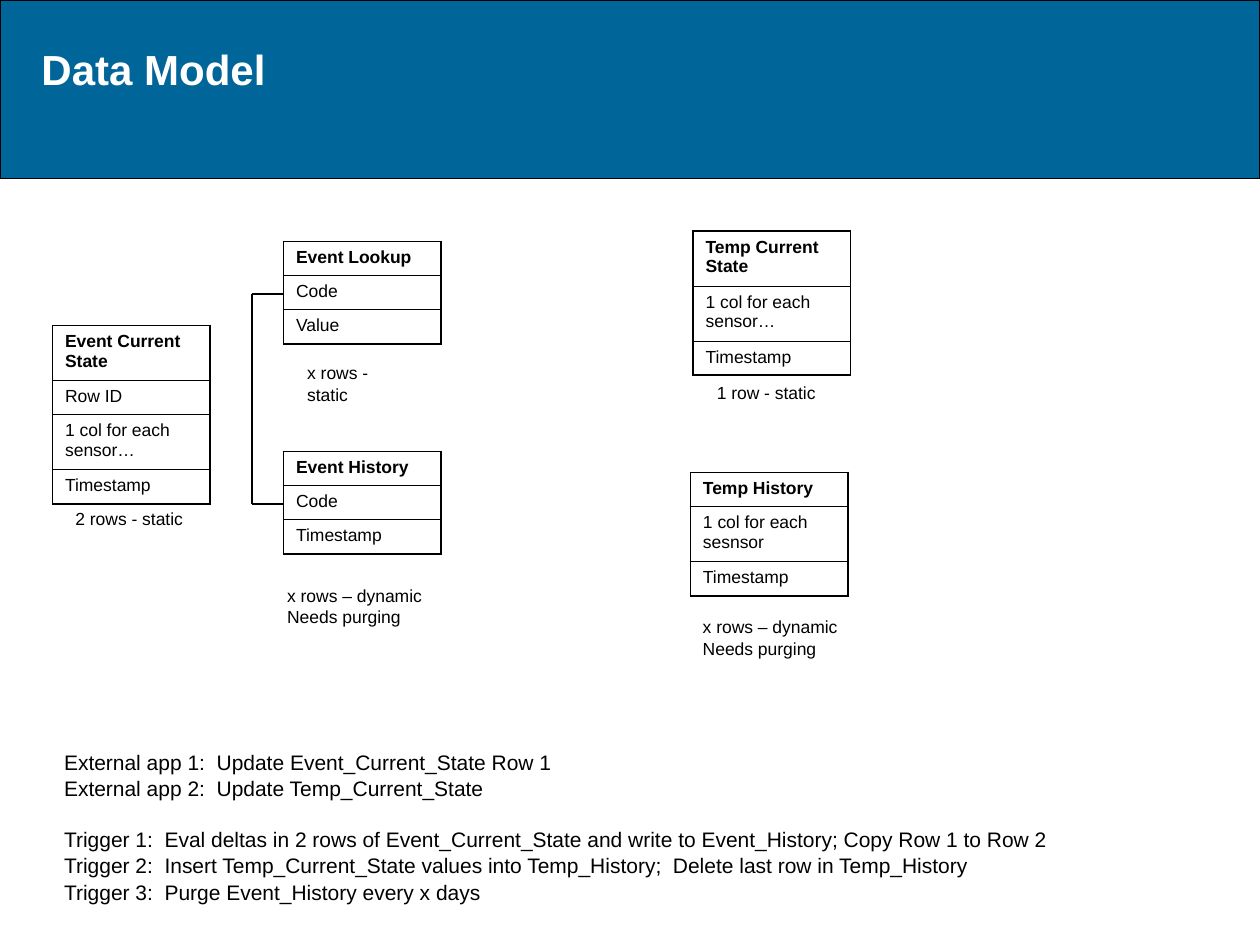
"""Build the data model slide with its tables, captions and trigger notes."""
from pptx import Presentation
from pptx.dml.color import RGBColor
from pptx.enum.shapes import MSO_CONNECTOR, MSO_SHAPE
from pptx.enum.text import MSO_ANCHOR, MSO_AUTO_SIZE, PP_ALIGN
from pptx.oxml import parse_xml
from pptx.oxml.ns import nsdecls
from pptx.util import Pt

LEFT, TOP, FIXED = PP_ALIGN.LEFT, MSO_ANCHOR.TOP, MSO_AUTO_SIZE.NONE
RECT, STRAIGHT = MSO_SHAPE.RECTANGLE, MSO_CONNECTOR.STRAIGHT

THEME = {
    "font": "Arial", "ink": "000000", "band": "006699", "paper": "FFFFFF",
    "title": 24, "note": 12, "label": 10,
    "line": 1, "outer": 1.08, "inner": 0.45,
}
WIDE, HIGH = 720, 540
COL, ROW, EXTRA = 90, 19.5, 12

TITLE = "Data Model"
TABLES = [
    (30, 186, ["Event Current State", "Row ID", "1 col for each sensor…", "Timestamp"]),
    (162, 138, ["Event Lookup", "Code", "Value"]),
    (162, 258, ["Event History", "Code", "Timestamp"]),
    (396, 132, ["Temp Current State", "1 col for each sensor…", "Timestamp"]),
    (394.5, 270, ["Temp History", "1 col for each sesnsor", "Timestamp"]),
]
PURGE = ["x rows – dynamic", "Needs purging"]
LABELS = [
    (36, 286.5, 75.6, ["2 rows - static"]),
    (168.5, 203, 74.9, ["x rows - static"]),
    (157, 330, 91.4, PURGE),
    (394.5, 348, 91.4, PURGE),
    (402.5, 214.5, 70.6, ["1 row - static"]),
]
NOTES = [
    ["External app 1:  Update Event_Current_State Row 1",
     "External app 2:  Update Temp_Current_State"],
    ["Trigger 1:  Eval deltas in 2 rows of Event_Current_State and write to "
     "Event_History; Copy Row 1 to Row 2",
     "Trigger 2:  Insert Temp_Current_State values into Temp_History;  "
     "Delete last row in Temp_History",
     "Trigger 3:  Purge Event_History every x days"],
]
LINKS = [(144, 168, 144, 288), (144, 288, 162, 288), (144, 168, 162, 168)]


def shade(name):
    return RGBColor.from_string(THEME[name])


def write(frame, groups, size="label", color="ink", bold=False, lead=1.0, wrap=True):
    frame.word_wrap = wrap
    lines = [(text, g and not i) for g, group in enumerate(groups)
             for i, text in enumerate(group)]
    for n, (text, gap) in enumerate(lines):
        par = frame.paragraphs[0] if n == 0 else frame.add_paragraph()
        par.text = text
        par.alignment = LEFT
        par.line_spacing = lead
        if gap:
            par.space_before = Pt(THEME[size] * 1.2)
        font = par.font
        font.name, font.size, font.bold = THEME["font"], Pt(THEME[size]), bold
        font.color.rgb = shade(color)


def place(shape, *box):
    shape.left, shape.top, shape.width, shape.height = map(Pt, box)


def edge(cell, first, last):
    props = cell._tc.get_or_add_tcPr()
    sides = {"L": True, "R": True, "T": first, "B": last}
    for n, (side, outer) in enumerate(sides.items()):
        width = Pt(THEME["outer" if outer else "inner"])
        props.insert(n, parse_xml(
            f'<a:ln{side} {nsdecls("a")} w="{width}"><a:solidFill>'
            f'<a:srgbClr val="{THEME["ink"]}"/></a:solidFill></a:ln{side}>'))


def add_grid(shapes, x, y, names):
    tall = [ROW + EXTRA * (len(name) > 15) for name in names]
    grid = shapes.add_table(len(names), 1, Pt(x), Pt(y), Pt(COL), Pt(sum(tall))).table
    grid.first_row = grid.horz_banding = False
    for n, name in enumerate(names):
        grid.rows[n].height = Pt(tall[n])
        cell = grid.cell(n, 0)
        cell.fill.background()
        edge(cell, n == 0, n == len(names) - 1)
        write(cell.text_frame, [[name]], bold=n == 0)


def add_text(shapes, x, y, w, h, groups, size):
    box = shapes.add_textbox(Pt(x), Pt(y), Pt(w), Pt(h))
    write(box.text_frame, groups, size=size, lead=1.04, wrap=False)


def add_link(shapes, *ends):
    link = shapes.add_connector(STRAIGHT, *map(Pt, ends))
    link.line.color.rgb = shade("ink")
    link.line.width = Pt(THEME["line"])
    link.element.spPr.append(parse_xml(f'<a:effectLst {nsdecls("a")}/>'))


def add_head(shapes):
    band = shapes.add_shape(RECT, 0, 0, Pt(WIDE), Pt(102))
    band.shadow.inherit = False
    band.fill.solid()
    band.fill.fore_color.rgb = shade("band")
    band.line.color.rgb = shade("ink")
    band.line.width = Pt(THEME["line"])
    title = shapes.title
    band.element.addnext(title.element)
    place(title, 16.5, 21, 679, 36)
    frame = title.text_frame
    frame.auto_size, frame.vertical_anchor = FIXED, TOP
    write(frame, [[TITLE]], size="title", color="paper", bold=True)


def main():
    deck = Presentation()
    deck.slide_width, deck.slide_height = Pt(WIDE), Pt(HIGH)
    shapes = deck.slides.add_slide(deck.slide_layouts[5]).shapes
    add_head(shapes)
    for x, y, names in TABLES:
        add_grid(shapes, x, y, names)
    for x, y, w, lines in LABELS:
        add_text(shapes, x, y, w, 7.2 + 12 * len(lines), [lines], "label")
    add_text(shapes, 29.5, 424, 577.5, 93.6, NOTES, "note")
    for ends in LINKS:
        add_link(shapes, *ends)
    deck.save("out.pptx")


if __name__ == "__main__":
    main()
